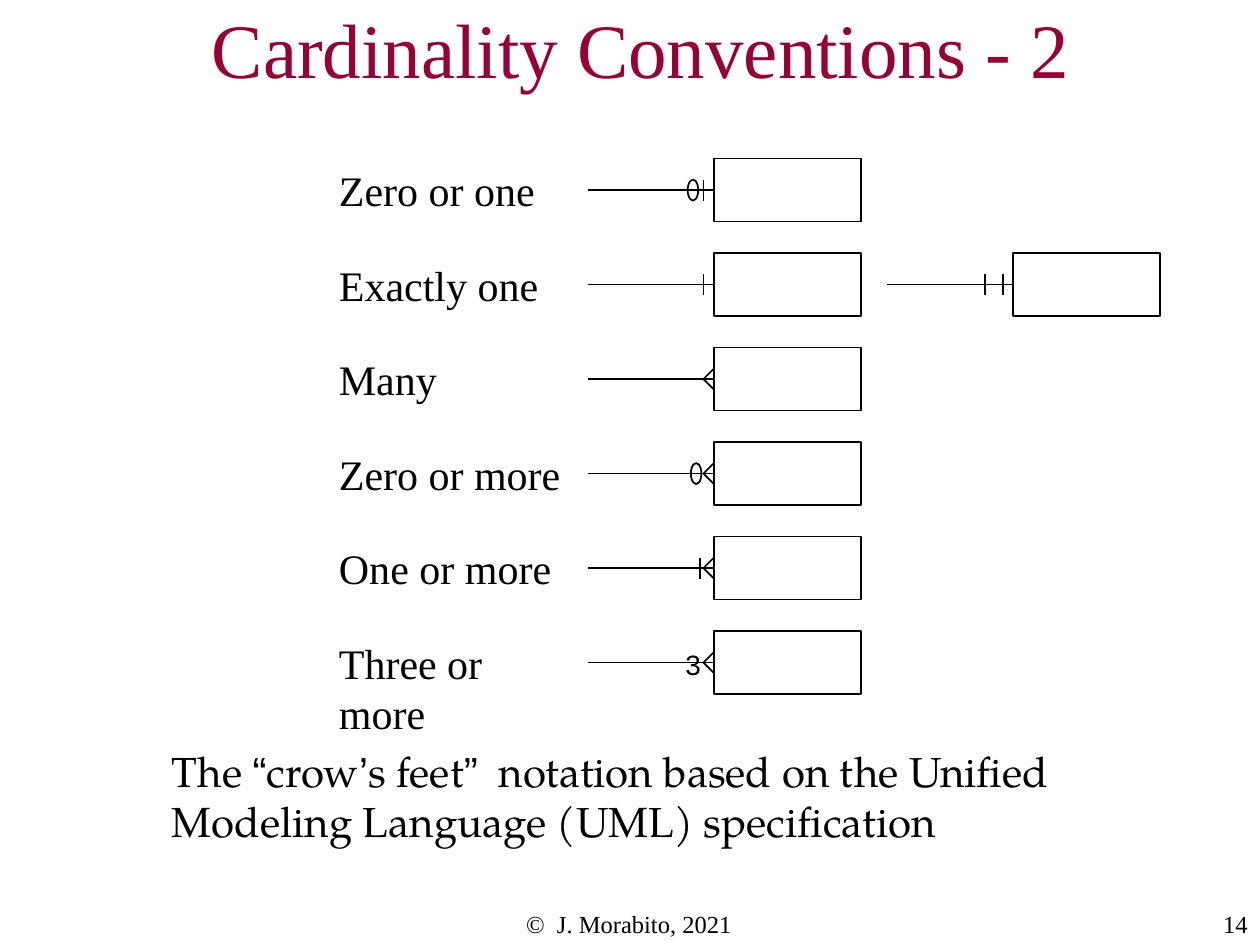
from lxml import etree
from pptx import Presentation
from pptx import util as u
from pptx.dml.color import RGBColor
from pptx.enum import shapes, text
from pptx.oxml.ns import qn

PX = 7620
COLORS = {"title": "990033", "ink": "000000"}
SERIF, SANS, BOOK = "Times New Roman", "Arial", "TeX Gyre Pagella"
LINE_LEFT, ENTITY_LEFT = 560, 680
FIRST_ROW, ROW_STEP = 151, 90
ENTITY_WIDTH, ENTITY_HEIGHT = 140, 60
MARK = 10
ROWS = [
    ("Zero or one", {"bars": [10], "circle": 25}),
    ("Exactly one", {"bars": [10]}),
    ("Many", {"foot": True}),
    ("Zero or more", {"foot": True, "circle": 22}),
    ("One or more", {"foot": True, "bars": [13]}),
    ("Three or more", {"foot": True}),
]


def px(*lengths):
    return [u.Emu(length * PX) for length in lengths]


def color(name):
    return RGBColor.from_string(COLORS[name])


def format_span(span, size, font, ink="ink"):
    span.font.size = u.Pt(size)
    span.font.name = font
    span.font.color.rgb = color(ink)


def add_text(page, area, pieces, size, ink="ink", align=text.PP_ALIGN.LEFT, wrap=True):
    box = page.shapes.add_textbox(*px(*area))
    frame = box.text_frame
    frame.word_wrap = wrap
    para = frame.paragraphs[0]
    para.alignment = align
    for words, font in pieces:
        span = para.add_run()
        span.text = words
        format_span(span, size, font, ink)
    return box


def add_line(page, *ends):
    line = page.shapes.add_connector(shapes.MSO_CONNECTOR.STRAIGHT, *px(*ends))
    line.line.color.rgb = color("ink")
    line.line.width = u.Pt(1)
    etree.SubElement(line._element.spPr, qn("a:effectLst"))


def add_outline(page, kind, *area):
    shape = page.shapes.add_shape(kind, *px(*area))
    shape.shadow.inherit = False
    shape.fill.background()
    shape.line.color.rgb = color("ink")
    shape.line.width = u.Pt(1)


def add_relation(page, left, top, bars=(), foot=False, circle=None):
    middle = top + ENTITY_HEIGHT // 2
    add_line(page, left - ENTITY_LEFT + LINE_LEFT, middle, left, middle)
    for gap in bars:
        add_line(page, left - gap, middle - MARK, left - gap, middle + MARK)
    if foot:
        for toe in (-MARK, MARK):
            add_line(page, left, middle + toe, left - MARK, middle)
    if circle:
        add_outline(page, shapes.MSO_SHAPE.OVAL,
                    left - circle, middle - MARK, MARK, 2 * MARK)
    add_outline(page, shapes.MSO_SHAPE.RECTANGLE,
                left, top, ENTITY_WIDTH, ENTITY_HEIGHT)


def main():
    deck = Presentation()
    deck.slide_width, deck.slide_height = px(1200, 900)
    page = deck.slides.add_slide(deck.slide_layouts[6])

    title = add_text(page, (190, 10, 1010, 70),
                     [("Cardinality Conventions - 2", SERIF)], 44, "title")
    title.text_frame.vertical_anchor = text.MSO_ANCHOR.MIDDLE

    for index, (label, marks) in enumerate(ROWS):
        top = FIRST_ROW + index * ROW_STEP
        add_text(page, (311, top, 250, 60), [(label, SERIF)], 24)
        add_relation(page, ENTITY_LEFT, top, **marks)
    add_relation(page, 965, FIRST_ROW + ROW_STEP, bars=[10, 27])
    add_text(page, (641, 611, 38, 44), [("3", SANS)], 16, wrap=False)

    add_text(page, (152, 704, 917, 108), [
        ("The ", BOOK), ("“", SANS), ("crow", BOOK), ("’", SANS),
        ("s feet", BOOK), ("”", SANS),
        ("  notation based on the Unified Modeling Language (UML) specification", BOOK),
    ], 24)
    add_text(page, (409, 860, 380, 30), [("©  J. Morabito, 2021", SERIF)], 14,
             align=text.PP_ALIGN.CENTER)
    add_text(page, (1030, 860, 170, 40), [("14", SERIF)], 14,
             align=text.PP_ALIGN.RIGHT)
    deck.save("out.pptx")


if __name__ == "__main__":
    main()
